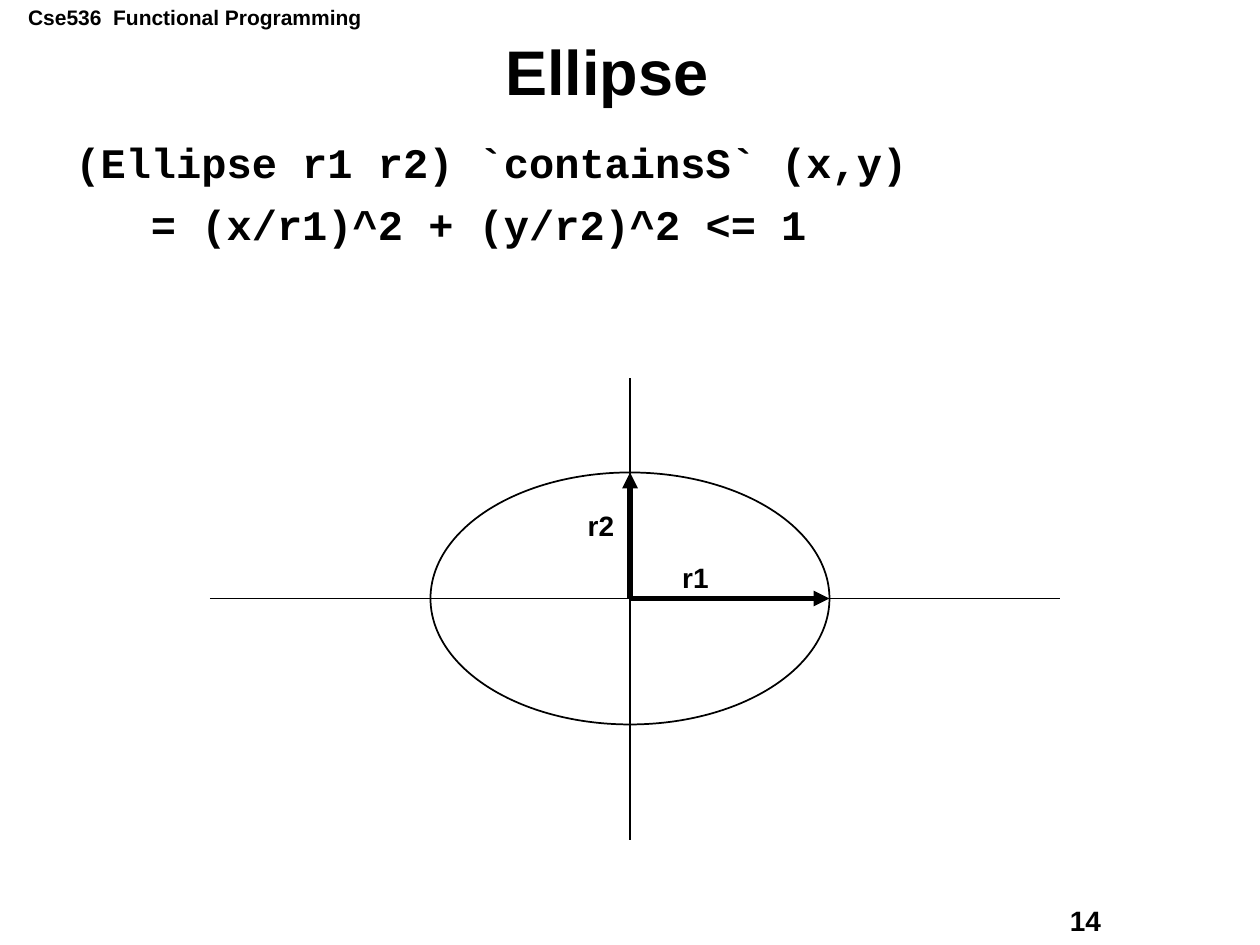
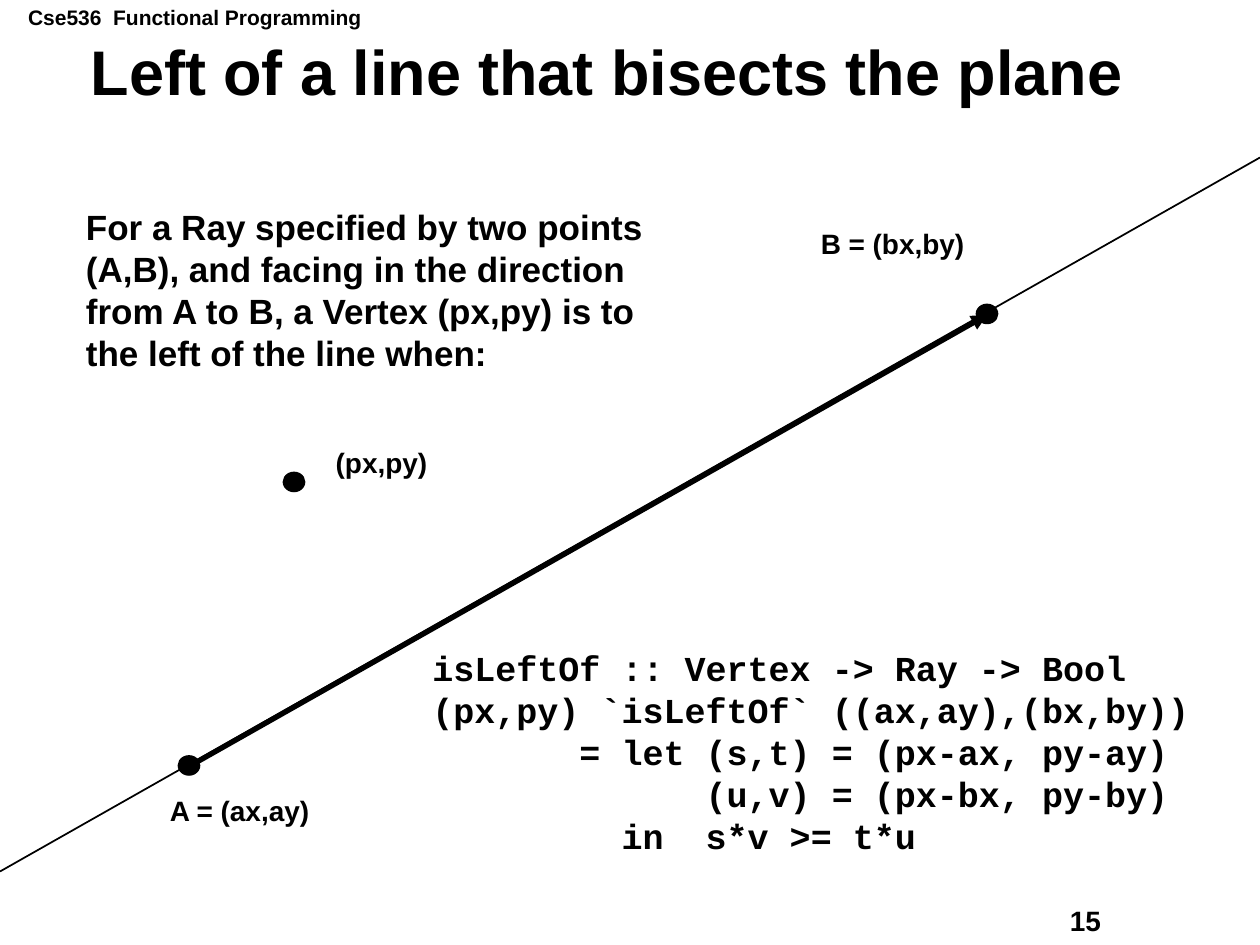
import pptx
import pptx.util
import pptx.dml.color
import pptx.enum.shapes
import pptx.enum.text
import pptx.oxml
import pptx.oxml.ns
from lxml import etree

INK = pptx.dml.color.RGBColor(0, 0, 0)
PAPER = pptx.dml.color.RGBColor(255, 255, 255)
COLUMNS, ROWS = 120, 90
SANS, MONO = "Arial", "Courier New"
ANCHOR = pptx.enum.text.MSO_ANCHOR
FIT = pptx.enum.text.MSO_AUTO_SIZE
ALIGN = pptx.enum.text.PP_ALIGN

LABEL = {"font": {"name": SANS, "size": pptx.util.Pt(16), "bold": True},
         "frame": {"word_wrap": False, "auto_size": FIT.SHAPE_TO_FIT_TEXT},
         "paragraph": {}}
FIXED = {"word_wrap": True, "auto_size": FIT.NONE}


def variant(size, name=SANS, frame=None, **paragraph):
    """Return the label format with another size and other settings."""
    return {"font": {**LABEL["font"], "name": name, "size": pptx.util.Pt(size)},
            "frame": frame or LABEL["frame"], "paragraph": paragraph}


COURSE = variant(12)
TITLE = variant(36, frame={**FIXED, "vertical_anchor": ANCHOR.MIDDLE},
                alignment=ALIGN.CENTER, line_spacing=0.9)
DEFINITION = variant(24, MONO, FIXED, line_spacing=0.9, space_before=pptx.util.Pt(9))
STATEMENT = variant(20)
CODE = variant(20, MONO, {**LABEL["frame"], "word_wrap": True})


def apply(target, values):
    """Set each attribute of the target from a dict of format values."""
    for attribute, value in values.items():
        setattr(target, attribute, value)


class Deck:
    """Hold the style and the current slide on a 120 by 90 grid."""

    def __init__(self):
        """Start an empty deck of 10 by 7.5 inches."""
        self.show = pptx.Presentation()
        self.show.slide_width = pptx.util.Inches(10)
        self.show.slide_height = pptx.util.Inches(7.5)
        self.slide = None

    def place(self, *lengths):
        """Turn alternating columns and rows into slide lengths."""
        units = (self.show.slide_width / COLUMNS, self.show.slide_height / ROWS)
        return [round(length * units[i % 2]) for i, length in enumerate(lengths)]

    def start(self, heading, number):
        """Open a slide with its course name, number and title."""
        self.slide = self.show.slides.add_slide(self.show.slide_layouts[6])
        background = self.slide.background.fill
        background.solid()
        background.fore_color.rgb = PAPER
        self.text((1.5, -0.17, 35, 3.6), ["Cse536  Functional Programming"], COURSE)
        self.text((100.7, 85.5, 15.2, 4.4), [str(number)])
        self.text((3.6, 3.83, 108.4, 6.7), [heading], TITLE)

    def text(self, area, lines, style=LABEL):
        """Write one paragraph for each line of text."""
        frame = self.slide.shapes.add_textbox(*self.place(*area)).text_frame
        apply(frame, style["frame"])
        for index, line in enumerate(lines):
            paragraph = frame.add_paragraph() if index else frame.paragraphs[0]
            apply(paragraph, style["paragraph"])
            if not index:
                paragraph.space_before = pptx.util.Pt(0)
            run = paragraph.add_run()
            run.text = line
            apply(run.font, style["font"])
            run.font.color.rgb = INK

    def line(self, start, end, weight=1, arrow=False):
        """Draw a straight line, with an arrowhead at its end if asked."""
        stroke = self.slide.shapes.add_connector(
            pptx.enum.shapes.MSO_CONNECTOR.STRAIGHT, *self.place(*start, *end))
        stroke.line.color.rgb = INK
        stroke.line.width = pptx.util.Pt(weight)
        if arrow:
            etree.SubElement(stroke.line._get_or_add_ln(),
                             pptx.oxml.ns.qn("a:tailEnd"), type="triangle")
        etree.SubElement(stroke._element.spPr, pptx.oxml.ns.qn("a:effectLst"))

    def ellipse(self, area, filled=False):
        """Draw an ellipse, as an outline or filled."""
        oval = self.slide.shapes.add_shape(
            pptx.enum.shapes.MSO_SHAPE.OVAL, *self.place(*area))
        oval.shadow.inherit = False
        oval.line.color.rgb = INK
        oval.line.width = pptx.util.Pt(1)
        if filled:
            oval.fill.solid()
            oval.fill.fore_color.rgb = INK
        else:
            oval.fill.background()

    def point(self, column, row):
        """Draw a filled dot from its top left corner."""
        self.ellipse((column, row, 2, 1.8), filled=True)


def ellipse_slide(deck):
    """Build the slide on the ellipse and its two radii."""
    deck.start("Ellipse", 14)
    deck.text((6, 13, 107, 18), ["(Ellipse r1 r2) `containsS` (x,y)",
                                 "   = (x/r1)^2 + (y/r2)^2 <= 1"], DEFINITION)
    across, down = center = (60, 57)
    r1, r2 = 19, 12
    deck.line((20, down), (101, down))
    deck.line((across, 36), (across, 80))
    deck.ellipse((across - r1, down - r2, 2 * r1, 2 * r2))
    deck.text((63.8, 52.8, 6, 4.4), ["r1"])
    deck.text((54.8, 47.8, 6, 4.4), ["r2"])
    for tip in ((across, down - r2), (across + r1, down)):
        deck.line(center, tip, weight=3, arrow=True)


def bisecting_line_slide(deck):
    """Build the slide on the half plane left of a ray."""
    deck.start("Left of a line that bisects the plane", 15)
    deck.line((18, 73), (94, 30), weight=3, arrow=True)
    deck.line((0, 83), (COLUMNS, 15))
    deck.text((7, 19, 58, 17.3), ["For a Ray specified by two points",
                                  "(A,B), and facing in the direction",
                                  "from A to B, a Vertex (px,py) is to",
                                  "the left of the line when:"], STATEMENT)
    deck.text((40, 61, 77, 21.2), ["isLeftOf :: Vertex -> Ray -> Bool",
                                   "(px,py) `isLeftOf` ((ax,ay),(bx,by))",
                                   "       = let (s,t) = (px-ax, py-ay)",
                                   "             (u,v) = (px-bx, py-by)",
                                   "         in  s*v >= t*u"], CODE)
    vertices = (("(px,py)", (27, 45), (30.8, 41.8, 13)),
                ("A = (ax,ay)", (17, 72), (15, 75, 18)),
                ("B = (bx,by)", (93, 29), (77, 21, 18)))
    for name, corner, label in vertices:
        deck.point(*corner)
        deck.text((*label, 4.4), [name])


def main():
    """Build both slides and save the deck."""
    deck = Deck()
    ellipse_slide(deck)
    bisecting_line_slide(deck)
    deck.show.save("out.pptx")


if __name__ == "__main__":
    main()
